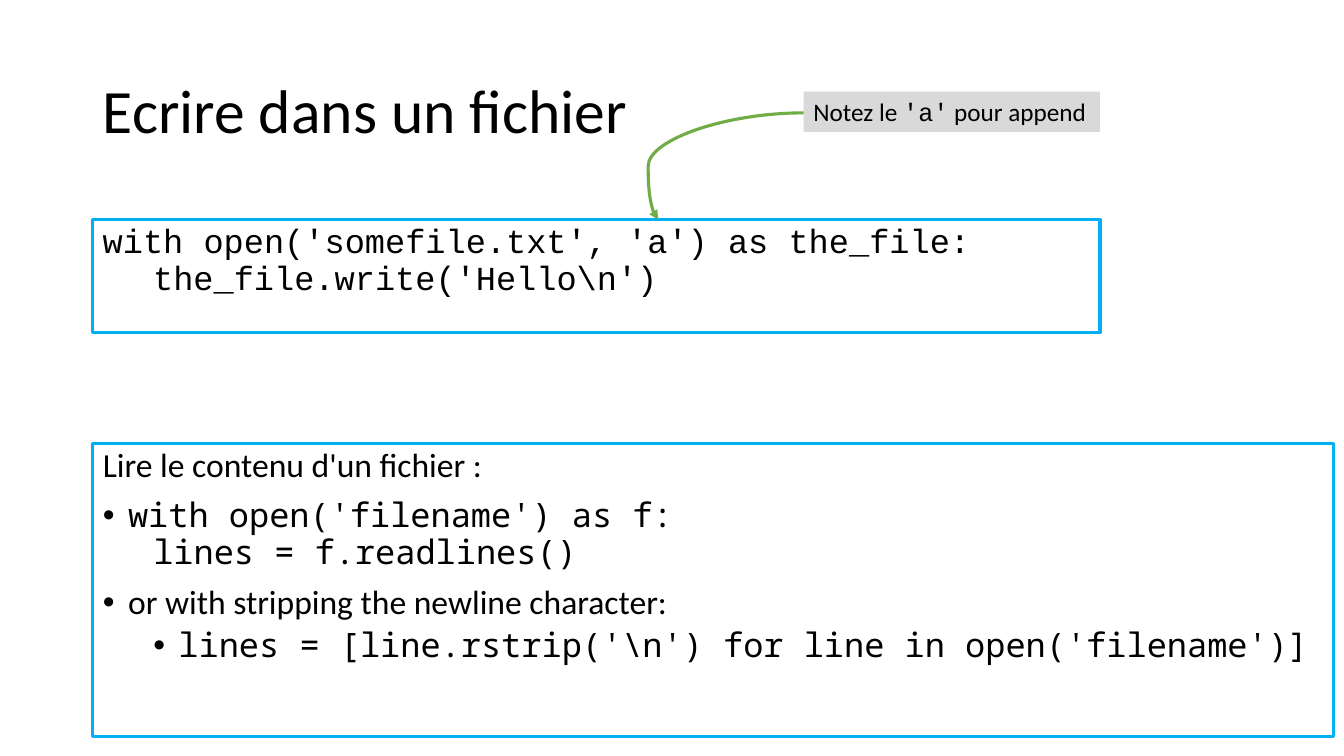
from lxml import etree
from pptx import Presentation
from pptx.dml.color import RGBColor
from pptx.enum import shapes, text
from pptx.oxml import ns
from pptx.util import Inches, Pt

COLORS = {"text": "000000", "frame": "00B0F0", "note": "D9D9D9", "arrow": "70AD47"}
SANS, MONO, COURIER = "Calibri", "Noto Sans Mono", "Courier New"


def color(name):
    return RGBColor.from_string(COLORS[name])


def place(sp, left, top, width, height):
    sp.left, sp.top = Inches(left), Inches(top)
    sp.width, sp.height = Inches(width), Inches(height)


def frame(sp):
    sp.line.color.rgb = color("frame")
    sp.line.width = Pt(2.25)


def add_run(p, words, font, size):
    r = p.add_run()
    r.text = words
    r.font.name, r.font.size = font, Pt(size)
    r.font.color.rgb = color("text")


def add_lines(p, lines, font, size=24):
    """Write lines in one paragraph, parted by line breaks."""
    for i, line in enumerate(lines):
        if i:
            p.add_line_break()
        add_run(p, line, font, size)


def space(p, before=0):
    p.alignment = text.PP_ALIGN.LEFT
    p.line_spacing = 0.9
    p.space_before = Pt(before)


def set_bullet(p, indent):
    """Hang a bullet at the indent in inches, or drop it when that is 0."""
    pPr = p._p.get_or_add_pPr()
    pPr.set("marL", str(Inches(indent)))
    pPr.set("indent", str(Inches(-0.25 if indent else 0)))
    if indent:
        etree.SubElement(pPr, ns.qn("a:buFont")).set("typeface", "Arial")
        etree.SubElement(pPr, ns.qn("a:buChar")).set("char", "•")
    else:
        etree.SubElement(pPr, ns.qn("a:buNone"))


def fill_title(sp):
    place(sp, 0.92, 0.4, 11.5, 1.45)
    tf = sp.text_frame
    tf.auto_size = text.MSO_AUTO_SIZE.NONE
    tf.vertical_anchor = text.MSO_ANCHOR.MIDDLE
    space(tf.paragraphs[0])
    add_run(tf.paragraphs[0], "Ecrire dans un fichier", SANS, 44)


def fill_body(sp):
    place(sp, 0.92, 4.4, 12.31, 2.91)
    frame(sp)
    tf = sp.text_frame
    tf.auto_size = text.MSO_AUTO_SIZE.NONE
    items = [
        (0, 0, 10, SANS, ["Lire le contenu d'un fichier :"]),
        (0, 0.25, 10, MONO, ["with open('filename') as f: ", "\tlines = f.readlines()"]),
        (0, 0.25, 10, SANS, ["or with stripping the newline character:"]),
        (1, 0.75, 5, MONO, ["lines = [line.rstrip('\\n') for line in open('filename')]"]),
    ]
    for i, (level, indent, before, font, lines) in enumerate(items):
        p = tf.add_paragraph() if i else tf.paragraphs[0]
        p.level = level
        space(p, before)
        set_bullet(p, indent)
        add_lines(p, lines, font)


def add_box(s, left, top, width, height):
    return s.shapes.add_textbox(Inches(left), Inches(top), Inches(width), Inches(height))


def add_code(s):
    sp = add_box(s, 0.92, 2.18, 9.99, 1.12)
    frame(sp)
    sp.text_frame.word_wrap = True
    p = sp.text_frame.paragraphs[0]
    space(p, 10)
    add_lines(p, ["with open('somefile.txt', 'a') as the_file: ",
                  "\tthe_file.write('Hello\\n')"], COURIER)


def add_note(s):
    sp = add_box(s, 7.97, 0.91, 2.94, 0.4)
    sp.fill.solid()
    sp.fill.fore_color.rgb = color("note")
    tf = sp.text_frame
    tf.word_wrap = False
    tf.auto_size = text.MSO_AUTO_SIZE.SHAPE_TO_FIT_TEXT
    for words, font in [("Notez le ", SANS), ("'a'", COURIER), (" pour append", SANS)]:
        add_run(tf.paragraphs[0], words, font, 18)


def add_curved_arrow(s, x1, y1, x2, y2, bend):
    """Draw a curve whose middle lies at bend times its width."""
    c = s.shapes.add_connector(shapes.MSO_CONNECTOR.CURVE,
                               Inches(x1), Inches(y1), Inches(x2), Inches(y2))
    c.line.color.rgb = color("arrow")
    c.line.width = Pt(2.25)
    etree.SubElement(c.line._get_or_add_ln(), ns.qn("a:tailEnd")).set("type", "triangle")
    spPr = c._element.spPr
    etree.SubElement(spPr, ns.qn("a:effectLst"))
    guides = spPr.find(ns.qn("a:prstGeom")).find(ns.qn("a:avLst"))
    guide = etree.SubElement(guides, ns.qn("a:gd"))
    guide.set("name", "adj1")
    guide.set("fmla", f"val {round(bend * 100000)}")


def main():
    prs = Presentation()
    prs.slide_width, prs.slide_height = Inches(13.33), Inches(7.5)
    s = prs.slides.add_slide(prs.slide_layouts[1])
    fill_title(s.shapes.title)
    fill_body(s.placeholders[1])
    add_code(s)
    add_note(s)
    add_curved_arrow(s, 7.97, 1.12, 6.53, 2.18, bend=1.07)
    prs.save("out.pptx")


if __name__ == "__main__":
    main()
